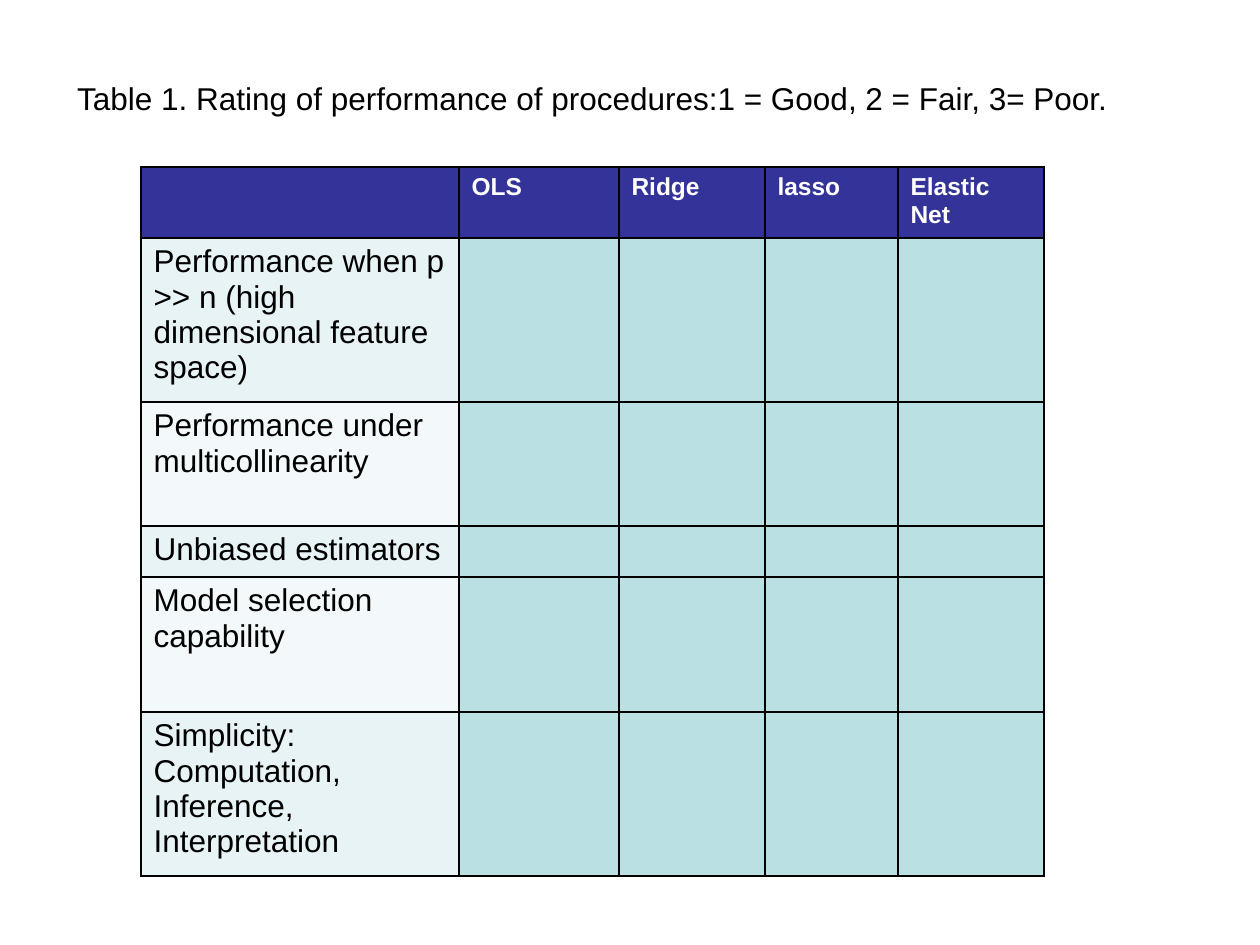
from dataclasses import dataclass

from lxml.etree import SubElement
from pptx import Presentation
from pptx.dml.color import RGBColor
from pptx.enum.text import MSO_ANCHOR, MSO_AUTO_SIZE, PP_ALIGN
from pptx.oxml.ns import qn
from pptx.util import Emu, Pt

PX_PER_INCH = 126
FONT = "Arial"
BLACK, WHITE = "000000", "FFFFFF"
HEADER_FILL, RATING_FILL = "333399", "BBE0E3"
LABEL_FILLS = ("E7F3F4", "F3F9FA")


@dataclass(frozen=True)
class Column:
    heading: str
    width: int


@dataclass(frozen=True)
class Criterion:
    label: str
    height: int


COLUMNS = (
    Column("", 318),
    Column("OLS", 160),
    Column("Ridge", 146),
    Column("lasso", 133),
    Column("Elastic Net", 146),
)
HEADER_HEIGHT = 71
CRITERIA = (
    Criterion("Performance when p >> n (high dimensional feature space)", 164),
    Criterion("Performance under multicollinearity", 124),
    Criterion("Unbiased estimators", 51),
    Criterion("Model selection capability", 135),
    Criterion("Simplicity: Computation, Inference, Interpretation", 164),
)


def px(length: int) -> Emu:
    return Emu(round(length * 914400 / PX_PER_INCH))


def color(value: str) -> RGBColor:
    return RGBColor.from_string(value)


def write(text_frame, text: str, size: int, text_color: str, bold: bool = False) -> None:
    text_frame.text = text
    for paragraph in text_frame.paragraphs:
        for font in [paragraph.font] + [span.font for span in paragraph.runs]:
            font.name = FONT
            font.size = Pt(size)
            font.bold = bold
            font.color.rgb = color(text_color)


def add_borders(cell) -> None:
    """Draw a thin black line on all four sides, ahead of the cell's fill."""
    properties = cell._tc.get_or_add_tcPr()
    for position, side in enumerate(("a:lnL", "a:lnR", "a:lnT", "a:lnB")):
        line = SubElement(properties, qn(side), w=str(Pt(1)))
        fill = SubElement(line, qn("a:solidFill"))
        SubElement(fill, qn("a:srgbClr"), val=BLACK)
        properties.insert(position, line)


def format_cell(cell, text: str, fill: str, size: int, text_color: str, bold: bool = False) -> None:
    cell.fill.solid()
    cell.fill.fore_color.rgb = color(fill)
    add_borders(cell)
    write(cell.text_frame, text, size, text_color, bold)


def add_caption(page) -> None:
    caption = page.shapes.title
    caption.left, caption.top, caption.width, caption.height = map(px, (52, 73, 1081, 50))
    frame = caption.text_frame
    frame.word_wrap = True
    frame.auto_size = MSO_AUTO_SIZE.NONE
    frame.vertical_anchor = MSO_ANCHOR.TOP
    write(frame, "Table 1. Rating of performance of procedures:1 = Good, 2 = Fair, 3= Poor.", 18, BLACK)
    frame.paragraphs[0].alignment = PP_ALIGN.CENTER


def add_rating_table(page, left: int, top: int) -> None:
    heights = [HEADER_HEIGHT] + [criterion.height for criterion in CRITERIA]
    width = sum(column.width for column in COLUMNS)
    table = page.shapes.add_table(
        len(heights), len(COLUMNS), px(left), px(top), px(width), px(sum(heights))
    ).table
    for row, height in zip(table.rows, heights):
        row.height = px(height)
    for index, column in enumerate(COLUMNS):
        table.columns[index].width = px(column.width)
        format_cell(table.cell(0, index), column.heading, HEADER_FILL, 14, WHITE, bold=True)
    for index, criterion in enumerate(CRITERIA):
        label_fill = LABEL_FILLS[index % len(LABEL_FILLS)]
        label_cell, *rating_cells = table.rows[index + 1].cells
        format_cell(label_cell, criterion.label, label_fill, 18, BLACK)
        for cell in rating_cells:
            format_cell(cell, "", RATING_FILL, 18, BLACK)


def main() -> None:
    deck = Presentation()
    deck.slide_width, deck.slide_height = px(1260), px(945)
    page = deck.slides.add_slide(deck.slide_layouts[5])
    add_rating_table(page, 141, 167)
    add_caption(page)
    deck.save("out.pptx")


if __name__ == "__main__":
    main()
